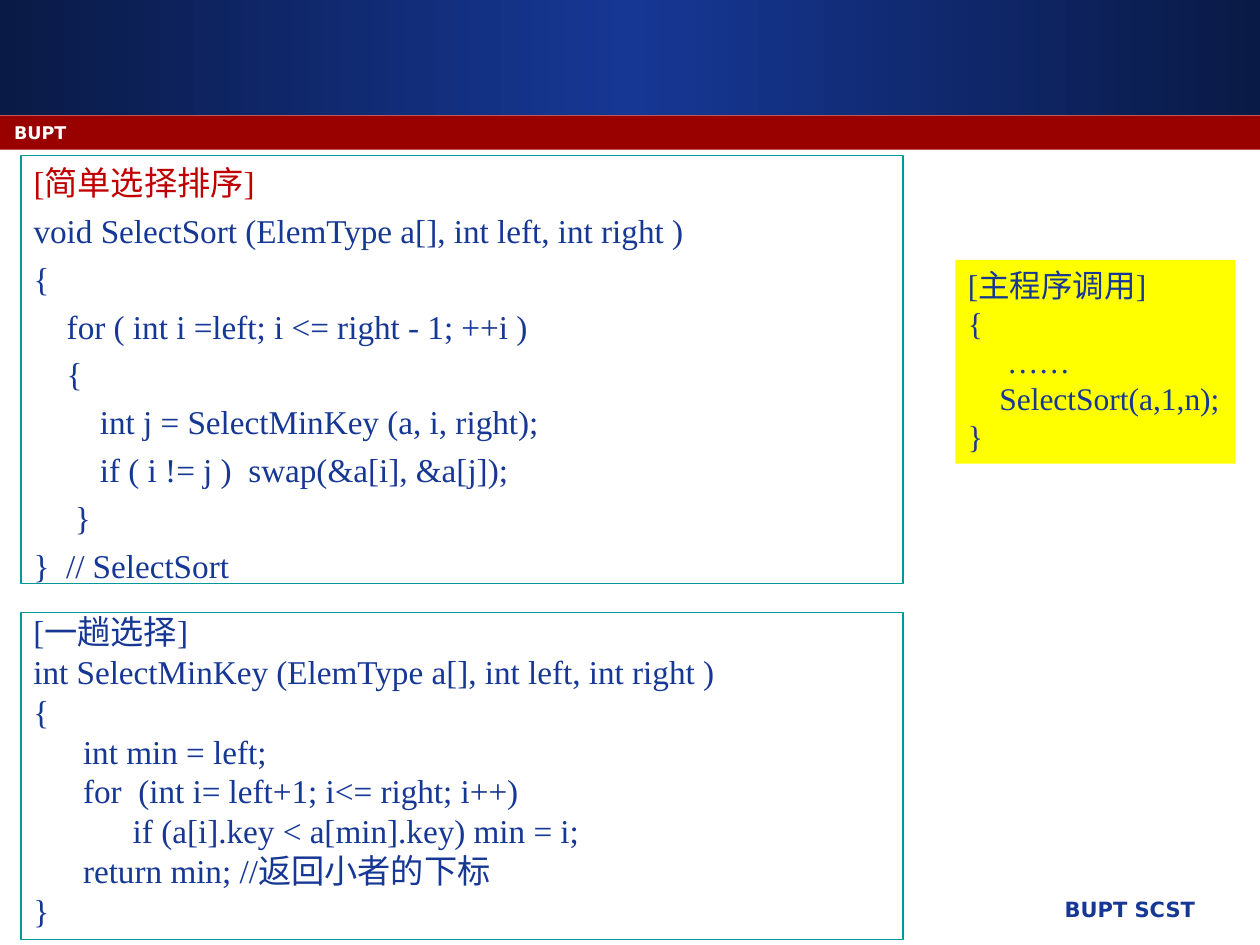
from copy import deepcopy

from lxml import etree
from pptx import Presentation
from pptx.dml.color import RGBColor
from pptx.enum import shapes, text
from pptx.oxml.ns import qn
from pptx.util import Pt

C = {"navy": "163794", "dark": "0A1A46", "red": "990000", "heading": "C00000",
     "teal": "009999", "yellow": "FFFF00", "white": "FFFFFF"}

SORT = """[简单选择排序]
void SelectSort (ElemType a[], int left, int right )
{
    for ( int i =left; i <= right - 1; ++i )
    {
        int j = SelectMinKey (a, i, right);
        if ( i != j )  swap(&a[i], &a[j]);
     }
}  // SelectSort"""

SELECT = """[一趟选择]
int SelectMinKey (ElemType a[], int left, int right )
{
      int min = left;
      for  (int i= left+1; i<= right; i++)
            if (a[i].key < a[min].key) min = i;
      return min; //返回小者的下标
}"""

CALL = """[主程序调用]
{
     ……
    SelectSort(a,1,n);
}"""


def rgb(name):
    return RGBColor.from_string(C[name])


def write(sp, content, size, color, font="Times New Roman", bold=False):
    tf = sp.text_frame
    tf.word_wrap = True
    tf.auto_size = text.MSO_AUTO_SIZE.NONE
    tf.vertical_anchor = text.MSO_ANCHOR.TOP
    tf.text = content
    for p in tf.paragraphs:
        p.alignment = text.PP_ALIGN.LEFT
        p.space_before = Pt(0)
        for r in p.runs:
            r.font.size = Pt(size)
            r.font.name = font
            r.font.bold = bold
            r.font.color.rgb = rgb(color)
    return tf


prs = Presentation()
prs.slide_width, prs.slide_height = Pt(720), Pt(540)
s = prs.slides.add_slide(prs.slide_layouts[1])
title, body = s.placeholders
title.element.getparent().remove(title.element)

rect = shapes.MSO_SHAPE.RECTANGLE
banner = s.shapes.add_shape(rect, Pt(0), Pt(0), Pt(720), Pt(65.5))
stripe = s.shapes.add_shape(rect, Pt(0), Pt(66), Pt(720), Pt(19.5))
select = s.shapes.add_shape(rect, Pt(12), Pt(350), Pt(504), Pt(187))
call = s.shapes.add_shape(rect, Pt(546), Pt(148.5), Pt(160), Pt(116.5))
for sp in (banner, stripe, select, call):
    sp.shadow.inherit = False
    sp.line.fill.background()

banner.fill.gradient()
banner.fill.gradient_angle = 0
first = banner.fill._fill._gradFill.find(qn("a:gsLst"))[0]
first.addnext(deepcopy(first))
for stop, (position, color) in zip(banner.fill.gradient_stops,
                                   [(0, "dark"), (0.5, "navy"), (1, "dark")]):
    stop.position = position
    stop.color.rgb = rgb(color)

for sp, color in ((stripe, "red"), (call, "yellow")):
    sp.fill.solid()
    sp.fill.fore_color.rgb = rgb(color)

header = s.shapes.add_textbox(Pt(1), Pt(66), Pt(666), Pt(19.5))
tf = write(header, "BUPT", 10, "white", "DejaVu Sans", True)
tf.vertical_anchor = text.MSO_ANCHOR.MIDDLE
footer = s.shapes.add_textbox(Pt(303), Pt(509), Pt(387), Pt(25))
tf = write(footer, "BUPT SCST", 12, "navy", "DejaVu Sans", True)
tf.paragraphs[0].alignment = text.PP_ALIGN.RIGHT

body.left, body.top, body.width, body.height = Pt(12), Pt(89), Pt(504), Pt(244.5)
for sp, code, spacing in ((body, SORT, 1), (select, SELECT, 0.8)):
    sp.fill.background()
    sp.line.color.rgb = rgb("teal")
    sp.line.width = Pt(0.75)
    tf = write(sp, code, 19, "navy")
    for i, p in enumerate(tf.paragraphs):
        pPr = p._p.get_or_add_pPr()
        pPr.set("marL", str(int(Pt(27))))
        pPr.set("indent", str(int(Pt(-27))))
        etree.SubElement(pPr, qn("a:buNone"))
        p.line_spacing = spacing
        p.space_before = Pt(4.6 if i else 0)
body.text_frame.paragraphs[0].runs[0].font.color.rgb = rgb("heading")

write(call, CALL, 18, "navy").word_wrap = False

prs.save("out.pptx")
